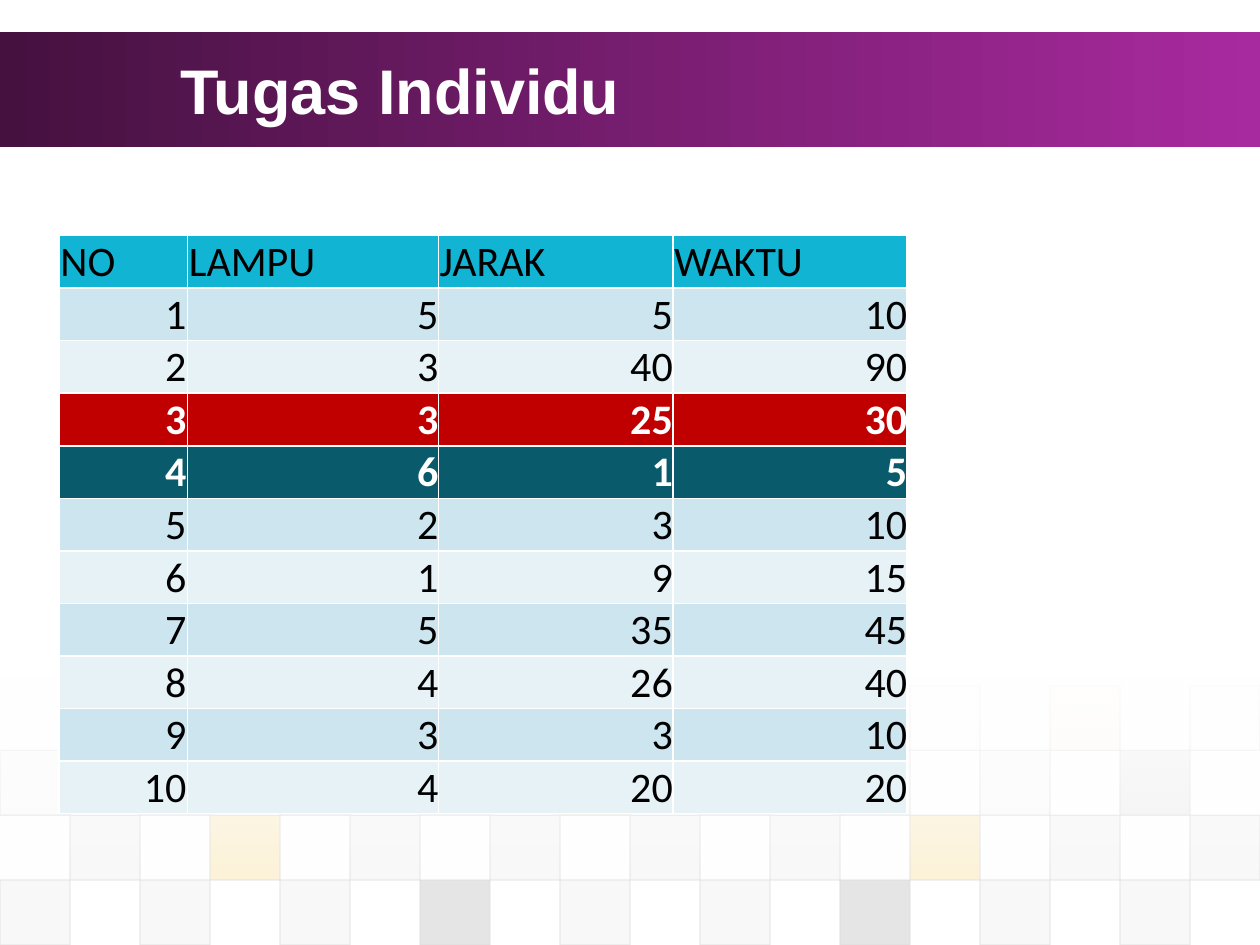
from lxml.etree import SubElement
from pptx import Presentation
from pptx.dml.color import RGBColor
from pptx.enum.shapes import MSO_SHAPE
from pptx.enum.text import MSO_ANCHOR, PP_ALIGN
from pptx.oxml.ns import qn
from pptx.util import Pt

PX = 9144
HEADER = ["NO", "LAMPU", "JARAK", "WAKTU"]
READINGS = [
    (5, 5, 10), (3, 40, 90), (3, 25, 30), (6, 1, 5), (2, 3, 10),
    (1, 9, 15), (5, 35, 45), (4, 26, 40), (3, 3, 10), (4, 20, 20),
]
HIGHLIGHTS = {3: "C00000", 4: "095A6A"}
BANDS = ["E7F2F7", "CCE5EF"]
GOLD, GREY, PALE, SILVER = "F1C23D", "808080", "EAEAEA", "DDDDDD"
TILE_ROWS = [
    (1, 5, {1: GREY, 3: PALE, 5: PALE, 7: GREY, 11: GREY, 13: PALE, 15: GOLD, 17: PALE}),
    (0, 10, {8: GOLD, 16: GREY}),
    (1, 20, {3: GOLD, 13: GOLD}),
    (0, 20, {6: GREY, 12: GREY}),
]


def color(value):
    """Turn a hex string into a colour."""
    return RGBColor.from_string(value)


def scaled(*lengths):
    """Turn px lengths into EMU."""
    return [round(length * PX) for length in lengths]


def set_alpha(properties, percents):
    """Give each colour below the element its opacity, in order."""
    for node, percent in zip(properties.iter(qn("a:srgbClr")), percents):
        SubElement(node, qn("a:alpha"), val=str(percent * 1000))


def write(frame, text, font="Calibri", size=24, fill="000000", bold=False, align=PP_ALIGN.LEFT):
    """Write one formatted line into a text frame."""
    para = frame.paragraphs[0]
    para.alignment = align
    span = para.add_run()
    span.text = text
    span.font.name, span.font.size, span.font.bold = font, Pt(size), bold
    span.font.color.rgb = color(fill)


def add_rectangle(page, box):
    """Add a rectangle without shadow or outline."""
    shape = page.shapes.add_shape(MSO_SHAPE.RECTANGLE, *scaled(*box))
    shape.shadow.inherit = False
    shape.line.fill.background()
    return shape


def add_gradient(page, box, stops, angle):
    """Add a rectangle with a two-colour gradient."""
    shape = add_rectangle(page, box)
    shape.fill.gradient()
    shape.fill.gradient_angle = angle
    for stop, value in zip(shape.fill.gradient_stops, stops):
        stop.color.rgb = color(value)
    return shape


def add_tiles(page, box):
    """Lay out the checkerboard and the white veil that fades its top."""
    left, top, width, height = box
    step_x, step_y = width / 18, height / len(TILE_ROWS)
    for row, (first, opacity, accents) in enumerate(TILE_ROWS):
        for column in range(first, 17 + first, 2):
            place = (left + column * step_x, top + row * step_y, step_x, step_y)
            tile = add_rectangle(page, place)
            tile.fill.solid()
            tile.fill.fore_color.rgb = color(accents.get(column, SILVER))
            tile.line.color.rgb = color(SILVER)
            tile.line.width = Pt(0.75)
            set_alpha(tile._element.spPr, [opacity, 60])
    veil = add_gradient(page, (left, top - 7, width, 162), ["FFFFFF", "FFFFFF"], 270)
    set_alpha(veil._element.spPr, [90, 0])


def add_title(page, box):
    """Draw the purple band and set the title on it."""
    left, top, width, height = box
    add_gradient(page, box, ["45113F", "A82A9F"], 0)
    title = page.shapes.title
    page.shapes._spTree.append(title._element)
    title.left, title.top, title.width, title.height = scaled(left + 133, top, 808, height)
    title.text_frame.vertical_anchor = MSO_ANCHOR.MIDDLE
    write(title.text_frame, "Tugas Individu", font="Arial", size=36, fill="FFFFFF", bold=True)


def format_cell(cell, fill, inset):
    """Set the borders, fill and margins of a table cell."""
    properties = cell._tc.get_or_add_tcPr()
    for side in ("lnL", "lnR", "lnT", "lnB"):
        border = SubElement(properties, qn(f"a:{side}"), w=str(Pt(1)))
        SubElement(SubElement(border, qn("a:solidFill")), qn("a:srgbClr"), val="FFFFFF")
    cell.fill.solid()
    cell.fill.fore_color.rgb = color(fill)
    cell.margin_left = cell.margin_right = cell.margin_top = inset * PX
    cell.margin_bottom = 0
    cell.vertical_anchor = MSO_ANCHOR.BOTTOM


def add_readings(page, box):
    """Add the table of lamps, distances and times."""
    rows = [HEADER] + [(number, *values) for number, values in enumerate(READINGS, 1)]
    table = page.shapes.add_table(len(rows), len(HEADER), *scaled(*box)).table
    for column, width in zip(table.columns, scaled(102, 199, 186, 186)):
        column.width = width
    for index, values in enumerate(rows):
        table.rows[index].height = 41 * PX
        marked = index in HIGHLIGHTS
        fill = HIGHLIGHTS.get(index, BANDS[index % 2]) if index else "12B4D4"
        for position, value in enumerate(values):
            cell = table.cell(index, position)
            format_cell(cell, fill, 1 if index == 0 or position == 0 else 0)
            write(cell.text_frame, str(value), bold=marked,
                  fill="FFFFFF" if marked else "000000",
                  align=PP_ALIGN.RIGHT if index else PP_ALIGN.LEFT)


def main():
    """Build the slide and save the deck."""
    deck = Presentation()
    deck.slide_width, deck.slide_height = scaled(1000, 750)
    page = deck.slides.add_slide(deck.slide_layouts[5])
    add_tiles(page, (0, 544, 1000, 206))
    add_title(page, (0, 25, 1000, 92))
    add_readings(page, (47, 187, 673, 451))
    deck.save("out.pptx")


if __name__ == "__main__":
    main()
